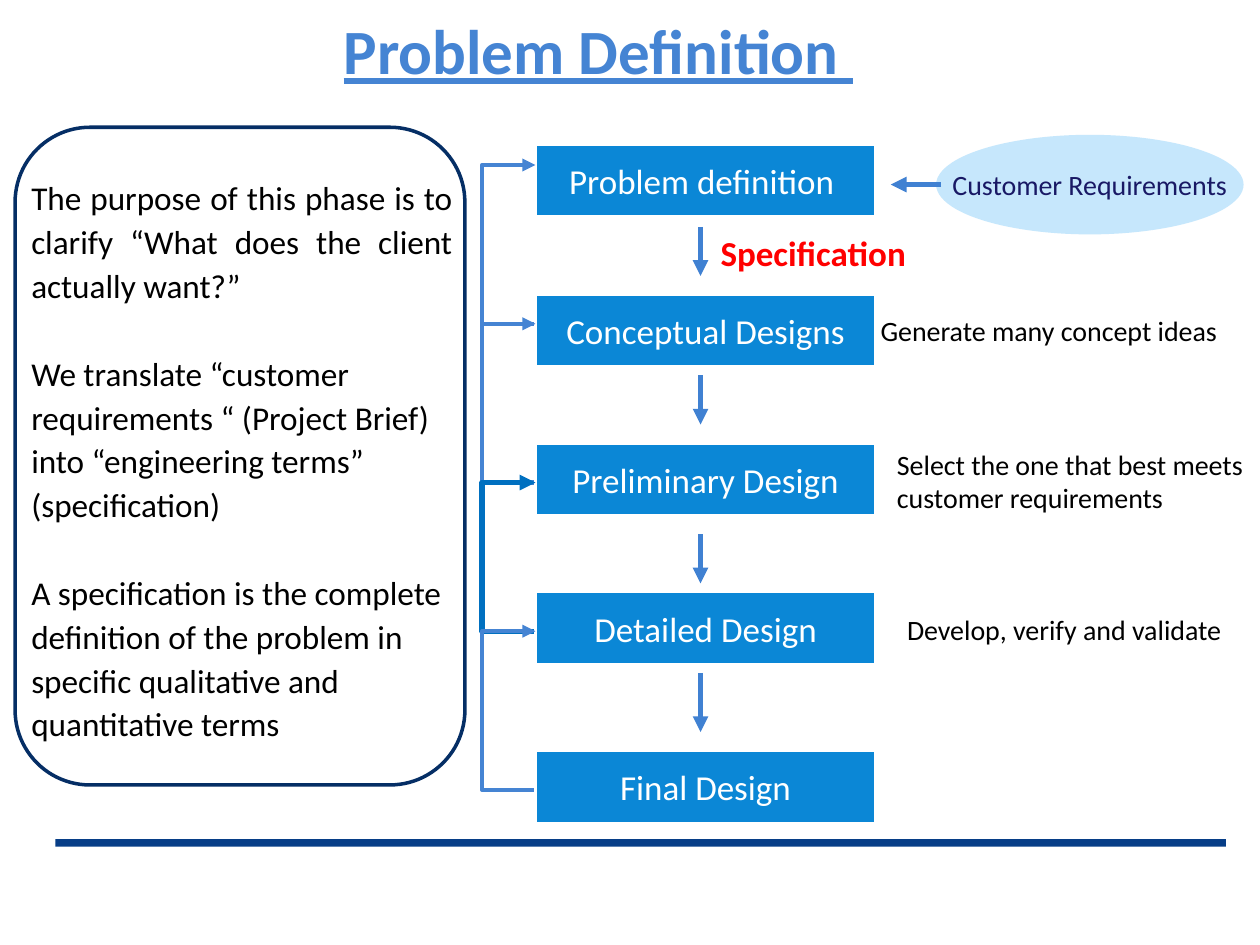
from dataclasses import dataclass

from lxml import etree
from pptx import Presentation
from pptx.dml.color import RGBColor
from pptx.enum.shapes import MSO_CONNECTOR, MSO_SHAPE
from pptx.enum.text import MSO_ANCHOR, MSO_AUTO_SIZE, PP_ALIGN
from pptx.oxml.ns import qn
from pptx.util import Inches, Pt

LINE, ELBOW = MSO_CONNECTOR.STRAIGHT, MSO_CONNECTOR.ELBOW
RECT, OVAL = MSO_SHAPE.RECTANGLE, MSO_SHAPE.OVAL
STEP, ROUND = MSO_SHAPE.FLOWCHART_PROCESS, MSO_SHAPE.ROUNDED_RECTANGLE
LEFT, CENTER, JUSTIFY = PP_ALIGN.LEFT, PP_ALIGN.CENTER, PP_ALIGN.JUSTIFY
MIDDLE, GROW = MSO_ANCHOR.MIDDLE, MSO_AUTO_SIZE.SHAPE_TO_FIT_TEXT


@dataclass(frozen=True)
class Theme:
    font: str = "Calibri"
    title: str = "4584D3"
    arrow: str = "4081D2"
    loop: str = "4584D3"
    accent: str = "0070C0"
    step: str = "0B87D6"
    oval: str = "C6E7FC"
    navy: str = "191965"
    frame: str = "052E65"
    rule: str = "073E87"
    red: str = "FF0000"
    black: str = "000000"
    white: str = "FFFFFF"
    head_size: int = 36
    step_size: int = 20
    body_size: int = 19
    note_size: int = 16


THEME = Theme()


def rgb(code):
    return RGBColor.from_string(code)


def style(frame, size, color, align=LEFT, bold=False, under=False):
    for para in frame.paragraphs:
        para.alignment = align
        for run in para.runs:
            font = run.font
            font.name, font.size = THEME.font, Pt(size)
            font.color.rgb = rgb(color)
            font.bold, font.underline = bold, under


def add_text(slide, box, text, size, color, **look):
    frame = slide.shapes.add_textbox(*map(Inches, box)).text_frame
    frame.word_wrap = True
    frame.text = text
    style(frame, size, color, **look)
    return frame


def add_shape(slide, kind, box, fill=None, line=None):
    shape = slide.shapes.add_shape(kind, *map(Inches, box))
    shape.shadow.inherit = False
    if fill:
        shape.fill.solid()
        shape.fill.fore_color.rgb = rgb(fill)
    else:
        shape.fill.background()
    if line:
        shape.line.color.rgb = rgb(line)
        shape.line.width = Pt(2)
    else:
        shape.line.fill.background()
    return shape


def add_label(shape, text, size, color):
    frame = shape.text_frame
    frame.text = text
    frame.word_wrap = False
    frame.vertical_anchor = MIDDLE
    style(frame, size, color, CENTER)


def add_arrow(slide, kind, start, end, color, width, tip):
    link = slide.shapes.add_connector(kind, *map(Inches, start + end))
    link.line.color.rgb = rgb(color)
    link.line.width = Pt(width)
    etree.SubElement(link.line._get_or_add_ln(), qn(tip), type="triangle")
    etree.SubElement(link._element.spPr, qn("a:effectLst"))
    return link


def add_loop(slide, x, top, bottom, reach, color, width):
    """Bracket to the left of x, with its arrowhead at the top end."""
    slim = 0.01
    link = add_arrow(slide, ELBOW, (x, top), (x - slim, bottom),
                     color, width, "a:headEnd")
    geom = link._element.spPr.find(qn("a:prstGeom"))
    guides = geom.find(qn("a:avLst"))
    if guides is None:
        guides = etree.SubElement(geom, qn("a:avLst"))
    bend = round(reach / slim * 100000)
    etree.SubElement(guides, qn("a:gd"), name="adj1", fmla=f"val {bend}")


def add_title(slide, box):
    add_text(slide, box, "Problem Definition ", THEME.head_size, THEME.title,
             align=CENTER, bold=True, under=True)


def add_panel(slide, box):
    left, top, wide, high = box
    add_shape(slide, ROUND, box, line=THEME.frame)
    text = "\n".join((
        "The purpose of this phase is to clarify “What does the client "
        "actually want?”",
        "We translate “customer requirements “ (Project Brief) into "
        "“engineering terms” (specification)",
        "A specification is the complete definition of the problem in "
        "specific qualitative and quantitative terms"))
    frame = add_text(slide, (left + 0.03, top + 0.32, wide - 0.03, high - 0.56),
                     text, THEME.body_size, THEME.black)
    frame.paragraphs[0].alignment = JUSTIFY
    for para in frame.paragraphs:
        para.line_spacing = 1.1
    for para in frame.paragraphs[:-1]:
        para.space_after = Pt(25)


def add_flow(slide, box):
    left, top, wide, _ = box
    # Stages: name and offset from the top
    stages = (("Problem definition ", 0), ("Conceptual Designs", 1.19),
              ("Preliminary Design", 2.37), ("Detailed Design", 3.55),
              ("Final Design", 4.81))
    # Feedback loops: both ends and line style
    plain, strong = (THEME.loop, 2.5), (THEME.accent, 3)
    loops = ((0.15, 1.41, plain), (1.41, 2.67, plain),
             (2.67, 3.85, strong), (3.85, 5.11, plain))
    for start, end, look in loops:
        add_loop(slide, left - 0.01, top + start, top + end, 0.43, *look)
    for name, drop in stages:
        step = add_shape(slide, STEP, (left, top + drop, wide, 0.55), THEME.step)
        add_label(step, name, THEME.step_size, THEME.white)
    # Arrows between the stages
    x = left + 1.3
    for drop, span in ((0.64, 0.39), (1.82, 0.39), (3.08, 0.39), (4.18, 0.47)):
        add_arrow(slide, LINE, (x, top + drop), (x, top + drop + span),
                  THEME.arrow, 3, "a:tailEnd")
    add_text(slide, (x + 0.06, top + 0.63, 3.31, 0.44), "Specification",
             THEME.step_size, THEME.red, bold=True).auto_size = GROW


def add_input(slide, box):
    left, top, _, high = box
    oval = add_shape(slide, OVAL, box, THEME.oval)
    add_label(oval, "Customer Requirements", THEME.note_size, THEME.navy)
    y = top + high / 2
    add_arrow(slide, LINE, (left + 0.04, y), (left - 0.36, y),
              THEME.arrow, 3, "a:tailEnd")


def add_notes(slide, box):
    left, top, wide, _ = box
    notes = (("Generate many concept ideas", 0, 0, 3.31, 0.37),
             ("Select the one that best meets customer requirements",
              0.13, 1.06, wide, 0.64),
             ("Develop, verify and validate", 0.21, 2.37, wide, 0.37))
    for text, dx, dy, w, h in notes:
        add_text(slide, (left + dx, top + dy, w, h), text,
                 THEME.note_size, THEME.black).auto_size = GROW


def main():
    deck = Presentation()
    deck.slide_width, deck.slide_height = Inches(10), Inches(7.5)
    slide = deck.slides.add_slide(deck.slide_layouts[6])
    add_shape(slide, RECT, (0.44, 6.66, 9.29, 0.06), THEME.rule)
    add_input(slide, (7.43, 1.07, 2.44, 0.79))
    add_flow(slide, (4.26, 1.16, 2.68, 5.36))
    add_notes(slide, (6.89, 2.44, 3.65, 2.74))
    add_title(slide, (0.25, 0.04, 9, 0.62))
    add_panel(slide, (0.12, 1.01, 3.57, 5.22))
    deck.save("out.pptx")


if __name__ == "__main__":
    main()
